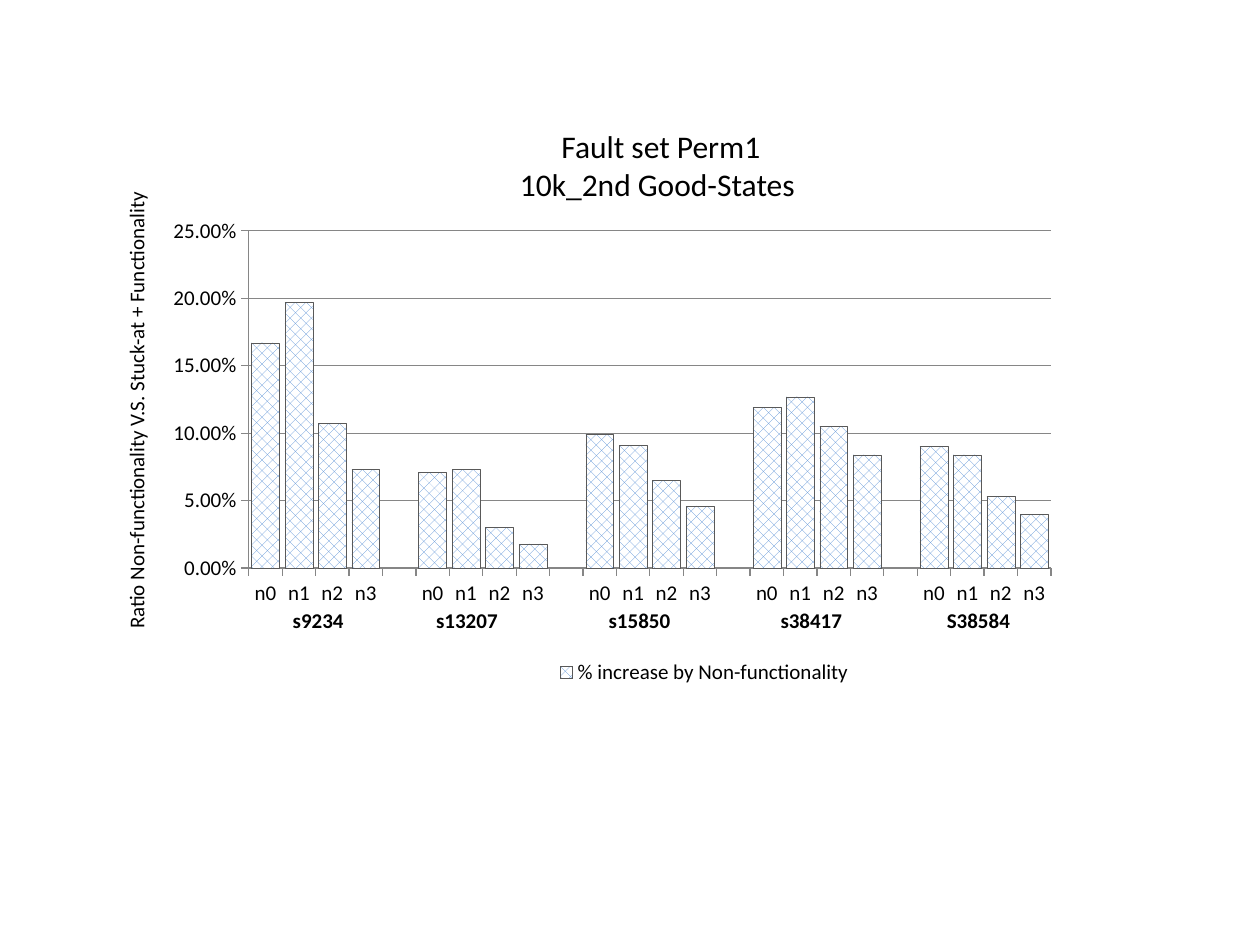
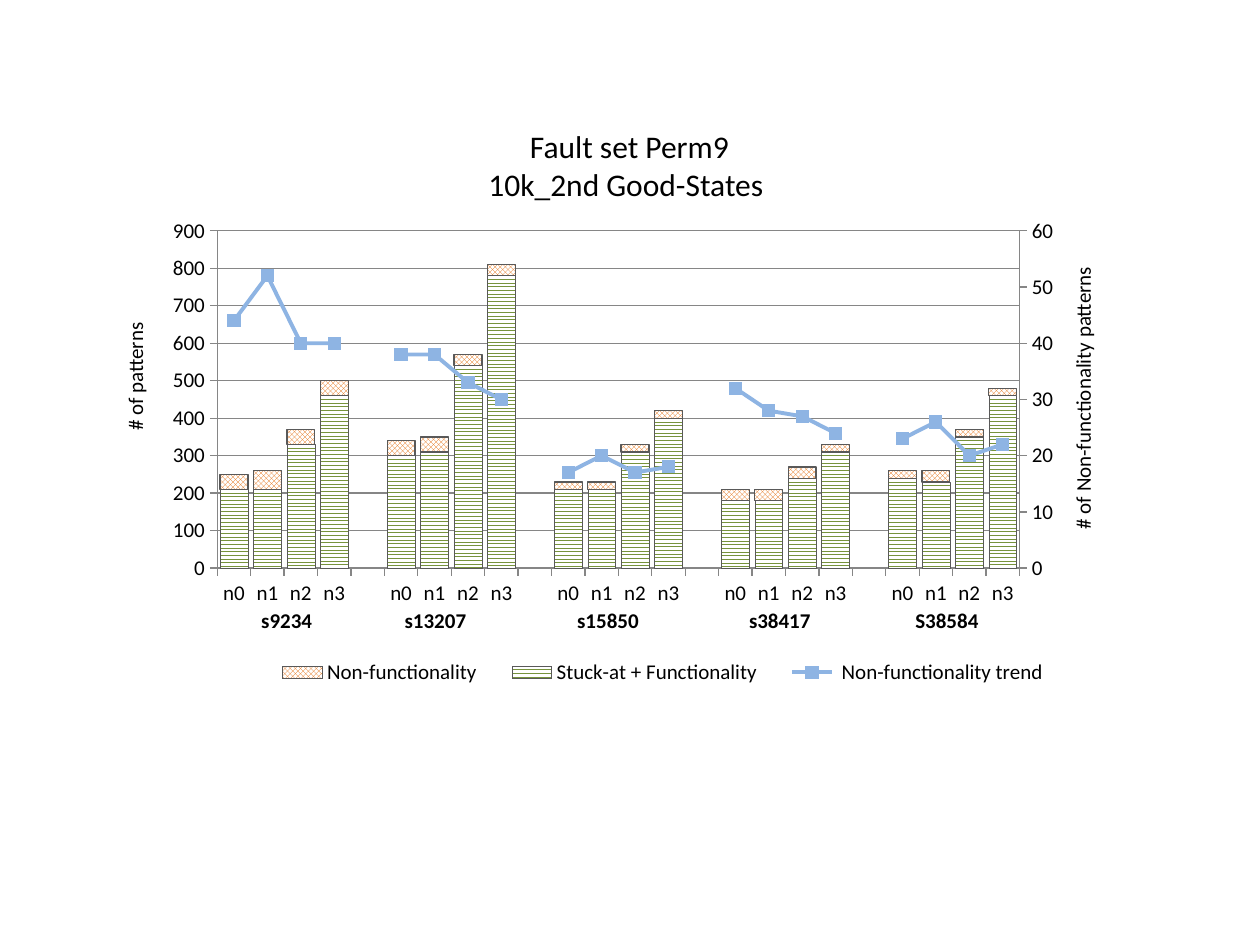
import copy
from dataclasses import dataclass

import lxml.etree
import pptx
import pptx.chart.axis
import pptx.chart.data
import pptx.dml.color
import pptx.enum.chart
import pptx.enum.dml
import pptx.enum.text
import pptx.oxml
import pptx.oxml.ns
import pptx.util

Pt = pptx.util.Pt
qn = pptx.oxml.ns.qn
Pattern = pptx.enum.dml.MSO_PATTERN
TickMark = pptx.enum.chart.XL_TICK_MARK


def rgb(value):
    return pptx.dml.color.RGBColor.from_string(value)


@dataclass(frozen=True)
class Theme:
    font: str = "Calibri"
    title_size: int = 18
    label_size: int = 12
    text: str = "000000"
    paper: str = "FFFFFF"
    grid: str = "868686"
    outline: str = "595959"
    blue: str = "558ED5"
    green: str = "77933C"
    orange: str = "E46C0A"
    trend: str = "8EB4E3"


@dataclass(frozen=True)
class Box:
    x: float
    y: float
    w: float
    h: float


THEME = Theme()
CHART_TOP, CHART_W, CHART_H = 77, 569.5, 326.9
LABEL_H = 21.8
PLOT_LAYOUT = (0.113, 0.168, 0.805, 0.59)
# Circuit name and the left edge of its label, relative to the chart
CIRCUITS = [("s9234", 69.8), ("s13207", 154.8), ("s15850", 253.4),
            ("s38417", 351.6), ("S38584", 447.1)]
STATES = ["n0", "n1", "n2", "n3"]


def with_gaps(groups):
    """Join the circuits' values, with an empty slot between circuits."""
    values = []
    for group in groups:
        values += [*group, None]
    return values[:-1]


RATIO = with_gaps([
    (0.167, 0.197, 0.107, 0.073), (0.071, 0.073, 0.03, 0.018),
    (0.099, 0.091, 0.065, 0.046), (0.119, 0.127, 0.105, 0.084),
    (0.09, 0.084, 0.053, 0.04)])
STUCK_AT = with_gaps([
    (210, 210, 330, 460), (300, 310, 540, 780), (210, 210, 310, 400),
    (180, 180, 240, 310), (240, 230, 350, 460)])
NON_FUNCTIONAL = with_gaps([
    (40, 50, 40, 40), (40, 40, 30, 30), (20, 20, 20, 20),
    (30, 30, 30, 20), (20, 30, 20, 20)])
TREND = with_gaps([
    (44, 52, 40, 40), (38, 38, 33, 30), (17, 20, 17, 18),
    (32, 28, 27, 24), (23, 26, 20, 22)])


def write_text(tf, *lines, size=THEME.label_size, bold=False, wrap=True):
    tf.word_wrap = wrap
    tf.auto_size = pptx.enum.text.MSO_AUTO_SIZE.NONE
    tf.vertical_anchor = pptx.enum.text.MSO_ANCHOR.TOP
    for i, line in enumerate(lines):
        p = tf.paragraphs[0] if i == 0 else tf.add_paragraph()
        p.alignment = pptx.enum.text.PP_ALIGN.CENTER
        p.space_before = Pt(0)
        r = p.add_run()
        r.text = line
        r.font.name = THEME.font
        r.font.size = Pt(size)
        r.font.bold = bold
        r.font.color.rgb = rgb(THEME.text)


def add_title(s, box, *lines):
    sp = s.shapes.title
    sp.left, sp.top = Pt(box.x + 205.2), Pt(box.y - 7.9)
    sp.width, sp.height = Pt(189.4), Pt(51)
    write_text(sp.text_frame, *lines, size=THEME.title_size)


def add_circuit_labels(s, box):
    for name, x in CIRCUITS:
        sp = s.shapes.add_textbox(Pt(box.x + x), Pt(box.y + 266.4), Pt(68.4), Pt(LABEL_H))
        write_text(sp.text_frame, name, bold=True)


def add_axis_title(s, box, text, cx, cy, length=306):
    """Place upright text centred on (cx, cy) within the box."""
    sp = s.shapes.add_textbox(Pt(box.x + cx - length / 2), Pt(box.y + cy - LABEL_H / 2),
                              Pt(length), Pt(LABEL_H))
    sp.rotation = 270
    write_text(sp.text_frame, text, wrap=False)


def set_layout(parent, index, layout, inner=False):
    for old in parent.findall(qn("c:layout")):
        parent.remove(old)
    node = lxml.etree.Element(qn("c:layout"))
    manual = lxml.etree.SubElement(node, qn("c:manualLayout"))
    items = [("layoutTarget", "inner")] if inner else []
    items += [("xMode", "edge"), ("yMode", "edge"), *zip("xywh", layout)]
    for tag, value in items:
        lxml.etree.SubElement(manual, qn("c:" + tag)).set("val", str(value))
    parent.insert(index, node)


def style_axis(axis):
    axis.major_tick_mark = TickMark.OUTSIDE
    axis.minor_tick_mark = TickMark.NONE
    axis.tick_labels.font.size = Pt(THEME.label_size)
    axis.format.line.color.rgb = rgb(THEME.grid)


def scale_axis(axis, top, step):
    axis.minimum_scale, axis.maximum_scale, axis.major_unit = 0, top, step


def style_bars(series, pattern, color, width):
    fill = series.format.fill
    fill.patterned()
    fill.pattern = pattern
    fill.fore_color.rgb = rgb(color)
    fill.back_color.rgb = rgb(THEME.paper)
    series.format.line.color.rgb = rgb(THEME.outline)
    series.format.line.width = Pt(width)


def add_column_chart(s, box, series, top, step, number_format, legend_layout):
    data = pptx.chart.data.CategoryChartData(number_format=number_format)
    data.categories = [c or "" for c in with_gaps([STATES] * len(CIRCUITS))]
    for name, values in series:
        data.add_series(name, values)
    chart = s.shapes.add_chart(
        pptx.enum.chart.XL_CHART_TYPE.COLUMN_STACKED,
        Pt(box.x), Pt(box.y), Pt(box.w), Pt(box.h), data).chart
    chart.has_title = False
    chart.font.name = THEME.font
    chart.font.size = Pt(THEME.title_size)
    chart.font.color.rgb = rgb(THEME.text)
    chart._chartSpace.find(qn("c:chart")).addnext(pptx.oxml.parse_xml(
        f'<c:spPr {pptx.oxml.ns.nsdecls("c", "a")}><a:noFill/>'
        '<a:ln><a:noFill/></a:ln></c:spPr>'))

    plot = chart.plots[0]
    plot.gap_width, plot.overlap, plot.vary_by_categories = 20, 100, False
    set_layout(plot._element.getparent(), 0, PLOT_LAYOUT, inner=True)

    style_axis(chart.category_axis)
    axis = chart.value_axis
    style_axis(axis)
    scale_axis(axis, top, step)
    axis.has_major_gridlines = True
    axis.major_gridlines.format.line.color.rgb = rgb(THEME.grid)
    axis.tick_labels.number_format = number_format
    axis.tick_labels.number_format_is_linked = False

    chart.has_legend = True
    legend = chart.legend
    legend.position = pptx.enum.chart.XL_LEGEND_POSITION.RIGHT
    legend.include_in_layout = False
    legend.font.size = Pt(THEME.label_size)
    set_layout(legend._element, 1, legend_layout)
    return chart


def move_last_series_to_right_axis(chart, top, step):
    """Turn the last column series into a line with its own value axis."""
    cat_id, val_id = "50010", "50020"
    bars = chart.plots[0]._element
    ser = bars.findall(qn("c:ser"))[-1]
    for node in ser.findall(qn("c:invertIfNegative")):
        ser.remove(node)
    line = pptx.oxml.parse_xml(
        f'<c:lineChart {pptx.oxml.ns.nsdecls("c")}><c:grouping val="standard"/>'
        f'<c:varyColors val="0"/><c:marker val="1"/>'
        f'<c:axId val="{cat_id}"/><c:axId val="{val_id}"/></c:lineChart>')
    line.insert(2, ser)
    bars.addnext(line)

    cat_ax = copy.deepcopy(chart.category_axis._element)
    val_ax = copy.deepcopy(chart.value_axis._element)
    for node, own, other in ((cat_ax, cat_id, val_id), (val_ax, val_id, cat_id)):
        node.find(qn("c:axId")).set("val", own)
        node.find(qn("c:crossAx")).set("val", other)
    val_ax.find(qn("c:axPos")).set("val", "r")
    val_ax.find(qn("c:crosses")).set("val", "max")
    chart.value_axis._element.addnext(val_ax)
    val_ax.addnext(cat_ax)
    pptx.chart.axis.CategoryAxis(cat_ax).visible = False
    right = pptx.chart.axis.ValueAxis(val_ax)
    right.has_major_gridlines = False
    scale_axis(right, top, step)
    return chart.plots[1].series[0]


def style_trend(series):
    series.smooth = False
    series.format.line.color.rgb = rgb(THEME.trend)
    series.format.line.width = Pt(2.25)
    marker = series.marker
    marker.style = pptx.enum.chart.XL_MARKER_STYLE.SQUARE
    marker.size = 7
    marker.format.fill.solid()
    marker.format.fill.fore_color.rgb = rgb(THEME.trend)
    marker.format.line.color.rgb = rgb(THEME.trend)


def new_chart_slide(prs, left, fault_set):
    s = prs.slides.add_slide(prs.slide_layouts[5])
    box = Box(left, CHART_TOP, CHART_W, CHART_H)
    add_title(s, box, f"Fault set {fault_set}", "10k_2nd Good-States ")
    return s, box


def ratio_slide(prs):
    s, box = new_chart_slide(prs, 77.8, "Perm1")
    chart = add_column_chart(s, box, [("% increase by Non-functionality", RATIO)],
                             0.25, 0.05, "0.00%", (0.4, 0.9, 0.34, 0.08))
    style_bars(chart.plots[0].series[0], Pattern.WEAVE, THEME.blue, 0.25)
    add_circuit_labels(s, box)
    add_axis_title(s, box, "Ratio Non-functionality V.S. Stuck-at + Functionality ", 0, 156.2)


def pattern_count_slide(prs):
    s, box = new_chart_slide(prs, 59.8, "Perm9")
    series = [("Stuck-at + Functionality", STUCK_AT),
              ("Non-functionality", NON_FUNCTIONAL),
              (" Non-functionality trend", TREND)]
    chart = add_column_chart(s, box, series, 900, 100, "General", (0.15, 0.9, 0.82, 0.08))
    style_trend(move_last_series_to_right_axis(chart, 60, 10))
    stuck_at, non_functional = chart.plots[0].series
    style_bars(stuck_at, Pattern.ZIG_ZAG, THEME.green, 0.25)
    style_bars(non_functional, Pattern.TRELLIS, THEME.orange, 0.75)
    add_circuit_labels(s, box)
    add_axis_title(s, box, "# of patterns", 17.3, 138.2, length=128)
    add_axis_title(s, box, "# of Non-functionality patterns", 559, 150.5)


def main():
    prs = pptx.Presentation()
    prs.slide_width, prs.slide_height = Pt(720), Pt(540)
    ratio_slide(prs)
    pattern_count_slide(prs)
    prs.save("out.pptx")


if __name__ == "__main__":
    main()
